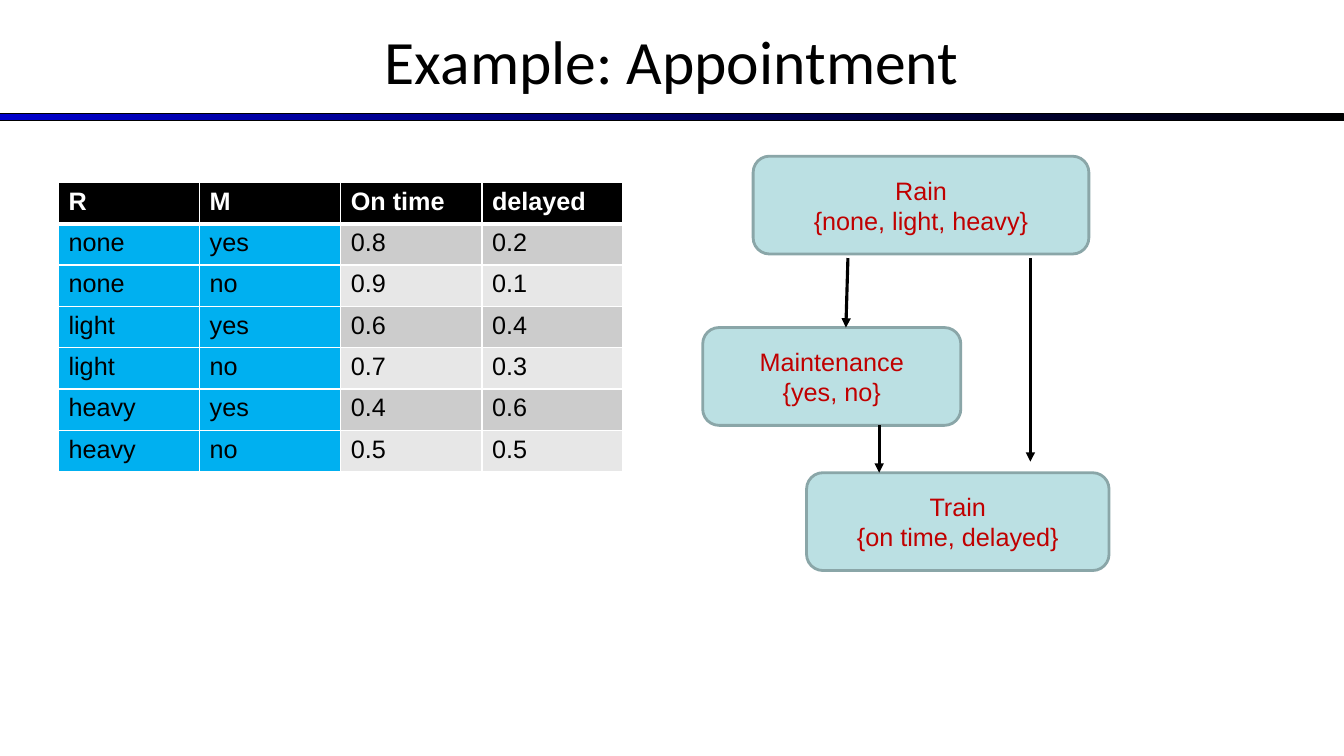
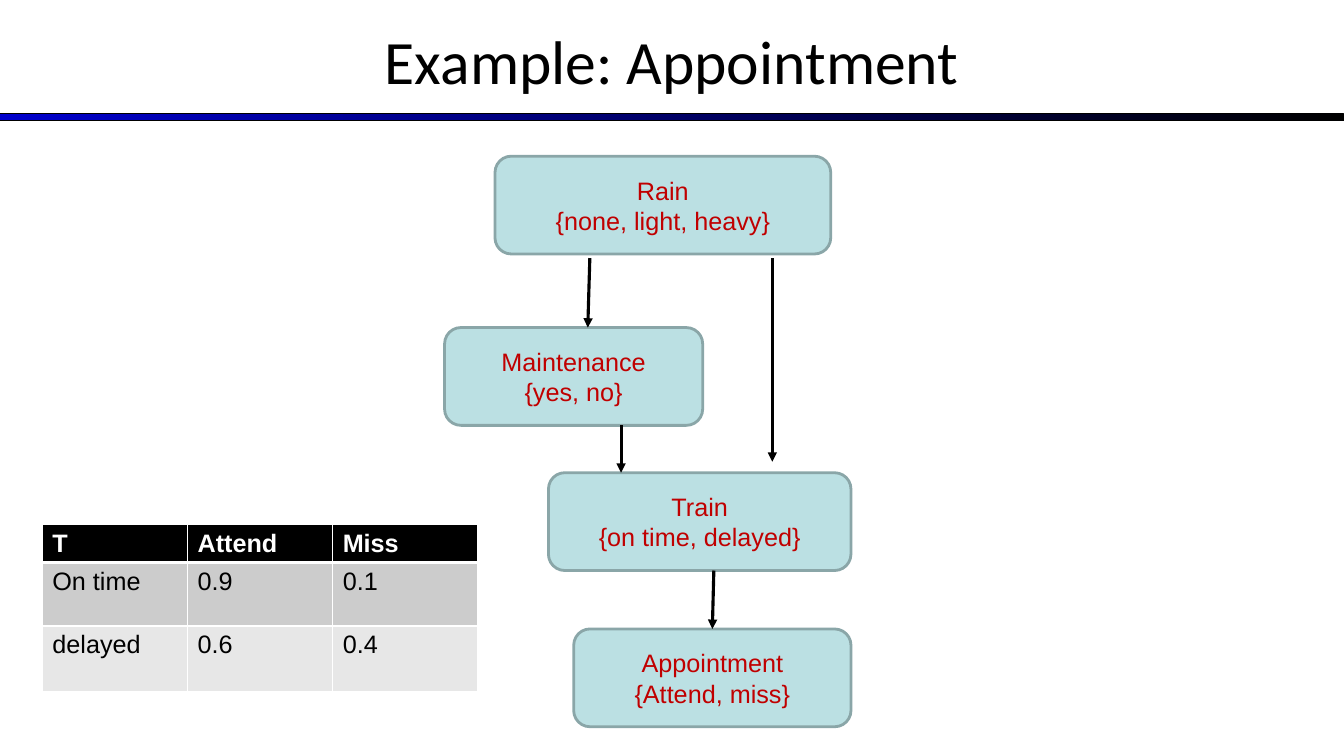
"""Build two slides with a train appointment network and its probability tables."""
import dataclasses
import typing

import lxml.etree
import pptx
import pptx.dml.color
import pptx.enum.shapes
import pptx.enum.text
import pptx.oxml.ns
import pptx.presentation
import pptx.shapes.autoshape
import pptx.slide
import pptx.util

Inches = pptx.util.Inches
Pt = pptx.util.Pt
RGBColor = pptx.dml.color.RGBColor
qn = pptx.oxml.ns.qn

BLACK = RGBColor(0x00, 0x00, 0x00)
WHITE = RGBColor(0xFF, 0xFF, 0xFF)
BLUE = RGBColor(0x00, 0x00, 0xCC)
NODE_FILL = RGBColor(0xBB, 0xE0, 0xE3)
NODE_LINE = RGBColor(0x8A, 0xA6, 0xA8)
NODE_TEXT = RGBColor(0xC0, 0x00, 0x00)
KEY_FILL = RGBColor(0x00, 0xB0, 0xF0)
ROW_FILLS = (RGBColor(0xCC, 0xCC, 0xCC), RGBColor(0xE7, 0xE7, 0xE7))

SLIDE_W = 13.33
TITLE = "Example: Appointment"
NODE_H = 0.97


@dataclasses.dataclass(frozen=True)
class Node:
    name: str
    values: str
    x: float
    y: float
    w: float


@dataclasses.dataclass(frozen=True)
class Arrow:
    x1: float
    y1: float
    x2: float
    y2: float
    top_of: typing.Optional[str] = None


@dataclasses.dataclass(frozen=True)
class ProbTable:
    x: float
    y: float
    col_w: float
    row_hs: tuple[float, ...]
    rows: tuple[tuple[str, ...], ...]
    key_cols: int = 0


@dataclasses.dataclass(frozen=True)
class Page:
    diagram_x: float
    nodes: tuple[Node, ...]
    arrows: tuple[Arrow, ...]
    table: ProbTable


TRAIN_NODES = (
    Node("Rain", "{none, light, heavy}", 0.5, 1.55, 3.33),
    Node("Maintenance", "{yes, no}", 0, 3.25, 2.56),
    Node("Train", "{on time, delayed}", 1.03, 4.69, 3),
)
TRAIN_ARROWS = (
    Arrow(3.25, 2.56, 3.25, 4.58),
    Arrow(1.75, 4.22, 1.75, 4.69),
    Arrow(1.44, 2.56, 1.42, 3.25),
)
APPOINTMENT_NODE = Node("Appointment", "{Attend, miss}", 1.28, 6.24, 2.75)
APPOINTMENT_ARROW = Arrow(2.67, 5.66, 2.66, 6.24, top_of="Appointment")

TRAIN_TABLE = ProbTable(0.58, 1.81, 1.4, (0.41,) * 7, (
    ("R", "M", "On time", "delayed"),
    ("none", "yes", "0.8", "0.2"),
    ("none", "no", "0.9", "0.1"),
    ("light", "yes", "0.6", "0.4"),
    ("light", "no", "0.7", "0.3"),
    ("heavy", "yes", "0.4", "0.6"),
    ("heavy", "no", "0.5", "0.5"),
), key_cols=2)
APPOINTMENT_TABLE = ProbTable(0.42, 5.2, 1.44, (0.38, 0.63, 0.65), (
    ("T", "Attend", "Miss"),
    ("On time", "0.9", "0.1"),
    ("delayed", "0.6", "0.4"),
))

PAGES = (
    Page(6.97, TRAIN_NODES, TRAIN_ARROWS, TRAIN_TABLE),
    Page(4.41, TRAIN_NODES + (APPOINTMENT_NODE,),
         TRAIN_ARROWS + (APPOINTMENT_ARROW,), APPOINTMENT_TABLE),
)


def set_font(p: typing.Any, size: float, color: RGBColor,
             name: str = "Arial", bold: bool = False) -> None:
    """Set the font of a whole paragraph."""
    p.font.size = Pt(size)
    p.font.name = name
    p.font.bold = bold
    p.font.color.rgb = color


def add_titled_slide(prs: pptx.presentation.Presentation) -> pptx.slide.Slide:
    """Add a slide with the shared title and gradient band."""
    s = prs.slides.add_slide(prs.slide_layouts[5])
    title = s.shapes.title
    title.left, title.top = Inches(0), Inches(-0.03)
    title.width, title.height = Inches(SLIDE_W), Inches(1.25)
    tf = title.text_frame
    tf.text = TITLE
    tf.vertical_anchor = pptx.enum.text.MSO_ANCHOR.MIDDLE
    p = tf.paragraphs[0]
    p.alignment = pptx.enum.text.PP_ALIGN.CENTER
    set_font(p, 44, BLACK, "Calibri")

    band = s.shapes.add_shape(pptx.enum.shapes.MSO_SHAPE.RECTANGLE, Inches(0),
                              Inches(1.13), Inches(SLIDE_W), Inches(0.07))
    band.shadow.inherit = False
    band.fill.gradient()
    band.fill.gradient_angle = 0
    for stop, color in zip(band.fill.gradient_stops, (BLUE, BLACK)):
        stop.color.rgb = color
    band.line.color.rgb = BLACK
    band.line.width = Pt(0.75)
    return s


def add_node(s: pptx.slide.Slide, node: Node, dx: float) -> pptx.shapes.autoshape.Shape:
    """Add a rounded box with a variable and its values."""
    sp = s.shapes.add_shape(pptx.enum.shapes.MSO_SHAPE.ROUNDED_RECTANGLE, Inches(dx + node.x),
                            Inches(node.y), Inches(node.w), Inches(NODE_H))
    sp.shadow.inherit = False
    sp.fill.solid()
    sp.fill.fore_color.rgb = NODE_FILL
    sp.line.color.rgb = NODE_LINE
    sp.line.width = Pt(2)
    tf = sp.text_frame
    tf.text = f"{node.name}\n{node.values}"
    tf.vertical_anchor = pptx.enum.text.MSO_ANCHOR.MIDDLE
    for p in tf.paragraphs:
        p.alignment = pptx.enum.text.PP_ALIGN.CENTER
        set_font(p, 18, NODE_TEXT)
    return sp


def add_arrow(s: pptx.slide.Slide, arrow: Arrow, dx: float,
              boxes: dict[str, pptx.shapes.autoshape.Shape]) -> None:
    """Add an arrow, joined to the top of a box where one is named."""
    c = s.shapes.add_connector(pptx.enum.shapes.MSO_CONNECTOR.STRAIGHT,
                               Inches(dx + arrow.x1), Inches(arrow.y1),
                               Inches(dx + arrow.x2), Inches(arrow.y2))
    if arrow.top_of:
        c.end_connect(boxes[arrow.top_of], 0)
    c.line.color.rgb = BLACK
    c.line.width = Pt(2.25)
    sp_pr = c.element.spPr
    lxml.etree.SubElement(sp_pr.find(qn("a:ln")), qn("a:tailEnd"), type="triangle")
    lxml.etree.SubElement(sp_pr, qn("a:effectLst"))


def set_borders(cell: typing.Any, row: int) -> None:
    """Give a cell white borders, thick below the header."""
    tc_pr = cell._tc.get_or_add_tcPr()
    widths = {"L": 1, "R": 1, "T": 3 if row == 1 else 1, "B": 3 if row == 0 else 1}
    for side, width in widths.items():
        ln = lxml.etree.SubElement(tc_pr, qn(f"a:ln{side}"), w=str(Pt(width)))
        fill = lxml.etree.SubElement(ln, qn("a:solidFill"))
        lxml.etree.SubElement(fill, qn("a:srgbClr"), val=str(WHITE))


def add_prob_table(s: pptx.slide.Slide, spec: ProbTable) -> None:
    """Add a probability table with a black header."""
    n_cols = len(spec.rows[0])
    table = s.shapes.add_table(len(spec.rows), n_cols, Inches(spec.x), Inches(spec.y),
                               Inches(spec.col_w * n_cols), Inches(sum(spec.row_hs))).table
    for col in table.columns:
        col.width = Inches(spec.col_w)
    for i, (height, texts) in enumerate(zip(spec.row_hs, spec.rows)):
        table.rows[i].height = Inches(height)
        for j, text in enumerate(texts):
            cell = table.cell(i, j)
            set_borders(cell, i)
            cell.fill.solid()
            if i == 0:
                color = BLACK
            elif j < spec.key_cols:
                color = KEY_FILL
            else:
                color = ROW_FILLS[(i - 1) % 2]
            cell.fill.fore_color.rgb = color
            cell.text = text
            set_font(cell.text_frame.paragraphs[0], 18,
                     WHITE if i == 0 else BLACK, bold=i == 0)


def main() -> None:
    """Build and save the presentation."""
    prs = pptx.Presentation()
    prs.slide_width, prs.slide_height = Inches(SLIDE_W), Inches(7.5)
    for page in PAGES:
        s = add_titled_slide(prs)
        boxes = {node.name: add_node(s, node, page.diagram_x) for node in page.nodes}
        for arrow in page.arrows:
            add_arrow(s, arrow, page.diagram_x, boxes)
        add_prob_table(s, page.table)
    prs.save("out.pptx")


if __name__ == "__main__":
    main()
